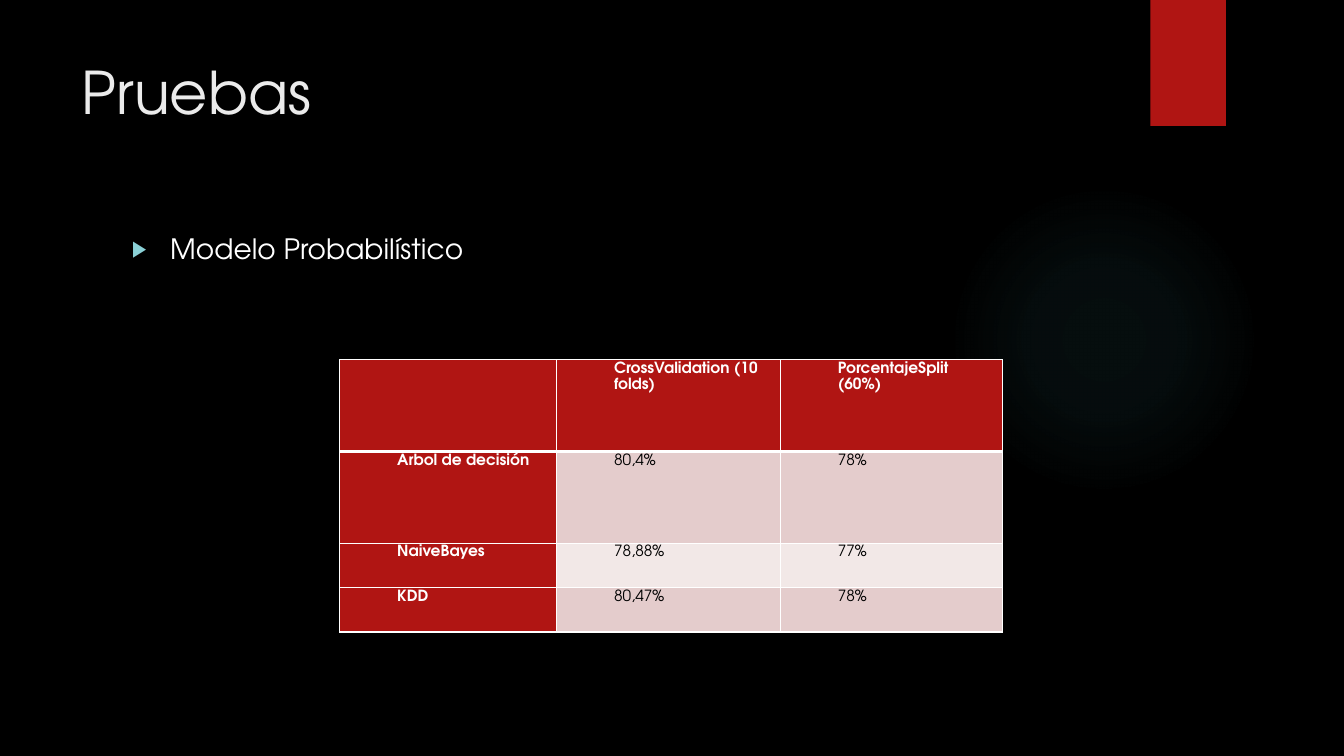
from pptx import Presentation
from pptx.dml.color import RGBColor
from pptx.enum.shapes import MSO_SHAPE
from pptx.enum.text import MSO_ANCHOR, PP_ALIGN
from pptx.oxml import parse_xml
from pptx.oxml.ns import nsdecls, qn
from pptx.util import Inches, Pt
from lxml.etree import SubElement

TITLE = "Pruebas"
SUBJECT = "Modelo Probabilístico"
RESULTS = [
    ("", "CrossValidation (10 folds)", "PorcentajeSplit (60%)"),
    ("Arbol de decisión", "80,4%", "78%"),
    ("NaiveBayes", "78,88%", "77%"),
    ("KDD", "80,47%", "78%"),
]
COLUMN_WIDTHS = (2.15, 2.22, 2.2)
ROW_HEIGHTS = (0.91, 0.91, 0.44, 0.44)
GLOW_STOPS = ((0, 7), (36, 6), (69, 0), (100, 0))  # position and opacity, percent
FONT = "TeX Gyre Adventor"
COLORS = {
    "background": "000000", "accent": "B01513", "glow": "50B9C1",
    "title": "EBEBEB", "white": "FFFFFF", "black": "000000",
    "bullet": "8AD0D6", "dark band": "E4CCCC", "light band": "F2E8E7",
}


def rgb(name):
    """Return a named colour."""
    return RGBColor.from_string(COLORS[name])


def box(left, top, width, height):
    """Return a position and size in inches."""
    return [Inches(value) for value in (left, top, width, height)]


def write(text_frame, text, size, color, bold=False):
    """Set one left-aligned paragraph with its font and return it."""
    text_frame.text = text
    text_frame.word_wrap = True
    paragraph = text_frame.paragraphs[0]
    paragraph.alignment = PP_ALIGN.LEFT
    for run in paragraph.runs:
        run.font.name, run.font.size, run.font.bold = FONT, Pt(size), bold
        run.font.color.rgb = rgb(color)
    return paragraph


def add_plain_shape(slide, kind, bounds, color):
    """Add a filled shape without line or shadow."""
    shape = slide.shapes.add_shape(kind, *bounds)
    shape.shadow.inherit = False
    shape.line.fill.background()
    shape.fill.solid()
    shape.fill.fore_color.rgb = rgb(color)
    return shape


def add_glow(slide):
    """Add the faint circle that fades out from its centre."""
    glow = add_plain_shape(slide, MSO_SHAPE.OVAL, box(9.41, 1.83, 3.08, 3.08), "glow")
    stops = "".join(
        f'<a:gs pos="{position * 1000}"><a:srgbClr val="{COLORS["glow"]}">'
        f'<a:alpha val="{opacity * 1000}"/></a:srgbClr></a:gs>'
        for position, opacity in GLOW_STOPS)
    gradient = parse_xml(
        f'<a:gradFill {nsdecls("a")} rotWithShape="1"><a:gsLst>{stops}</a:gsLst>'
        '<a:path path="circle"><a:fillToRect l="50000" t="50000" r="50000" b="50000"/>'
        '</a:path></a:gradFill>')
    properties = glow._element.spPr
    properties.replace(properties.find(qn("a:solidFill")), gradient)


def add_title(slide):
    """Place and format the title placeholder."""
    title = slide.shapes.title
    title.left, title.top, title.width, title.height = box(0.71, 0.5, 10.29, 1.53)
    title.text_frame.vertical_anchor = MSO_ANCHOR.TOP
    write(title.text_frame, TITLE, 42, "title")


def add_subject(slide):
    """Add the bulleted subject line."""
    subject = slide.shapes.add_textbox(*box(1.21, 2.25, 9.78, 0.5))
    paragraph = write(subject.text_frame, SUBJECT, 20, "white")
    properties = paragraph._p.get_or_add_pPr()
    properties.set("marL", str(Inches(0.38)))
    properties.set("indent", str(-Inches(0.38)))
    bullet_color = SubElement(properties, qn("a:buClr"))
    SubElement(bullet_color, qn("a:srgbClr"), val=COLORS["bullet"])
    SubElement(properties, qn("a:buSzPct"), val="80000")
    SubElement(properties, qn("a:buFont"), typeface="Arial")
    SubElement(properties, qn("a:buChar"), char="▶")


def set_borders(cell, top, bottom):
    """Draw white cell borders, with top and bottom widths in points."""
    properties = cell._tc.get_or_add_tcPr()
    for tag, width in (("lnL", 1), ("lnR", 1), ("lnT", top), ("lnB", bottom)):
        line = SubElement(properties, qn(f"a:{tag}"), w=str(Pt(width)))
        fill = SubElement(line, qn("a:solidFill"))
        SubElement(fill, qn("a:srgbClr"), val=COLORS["white"])


def add_results(slide):
    """Add the table of results with red headings and banded rows."""
    table = slide.shapes.add_table(
        len(RESULTS), len(COLUMN_WIDTHS),
        *box(3.37, 3.57, sum(COLUMN_WIDTHS), sum(ROW_HEIGHTS))).table
    for column, width in zip(table.columns, COLUMN_WIDTHS):
        column.width = Inches(width)
    for row, height in zip(table.rows, ROW_HEIGHTS):
        row.height = Inches(height)
    for row, values in enumerate(RESULTS):
        for column, value in enumerate(values):
            cell = table.cell(row, column)
            heading = row == 0 or column == 0
            band = "dark band" if row % 2 else "light band"
            cell.margin_left = cell.margin_right = Inches(0.07)
            cell.margin_top = cell.margin_bottom = 0
            set_borders(cell, 3 if row == 1 else 1, 3 if row == 0 else 1)
            cell.fill.solid()
            cell.fill.fore_color.rgb = rgb("accent" if heading else band)
            paragraph = write(cell.text_frame, value, 11,
                              "white" if heading else "black", heading)
            paragraph.line_spacing = 1.15
            paragraph._p.get_or_add_pPr().set("marL", str(Inches(0.5)))


presentation = Presentation()
presentation.slide_width, presentation.slide_height = Inches(13.33), Inches(7.5)
slide = presentation.slides.add_slide(presentation.slide_layouts[5])
slide.background.fill.solid()
slide.background.fill.fore_color.rgb = rgb("background")
add_glow(slide)
add_plain_shape(slide, MSO_SHAPE.RECTANGLE, box(11.41, 0, 0.75, 1.25), "accent")
add_title(slide)
add_subject(slide)
add_results(slide)
presentation.save("out.pptx")
